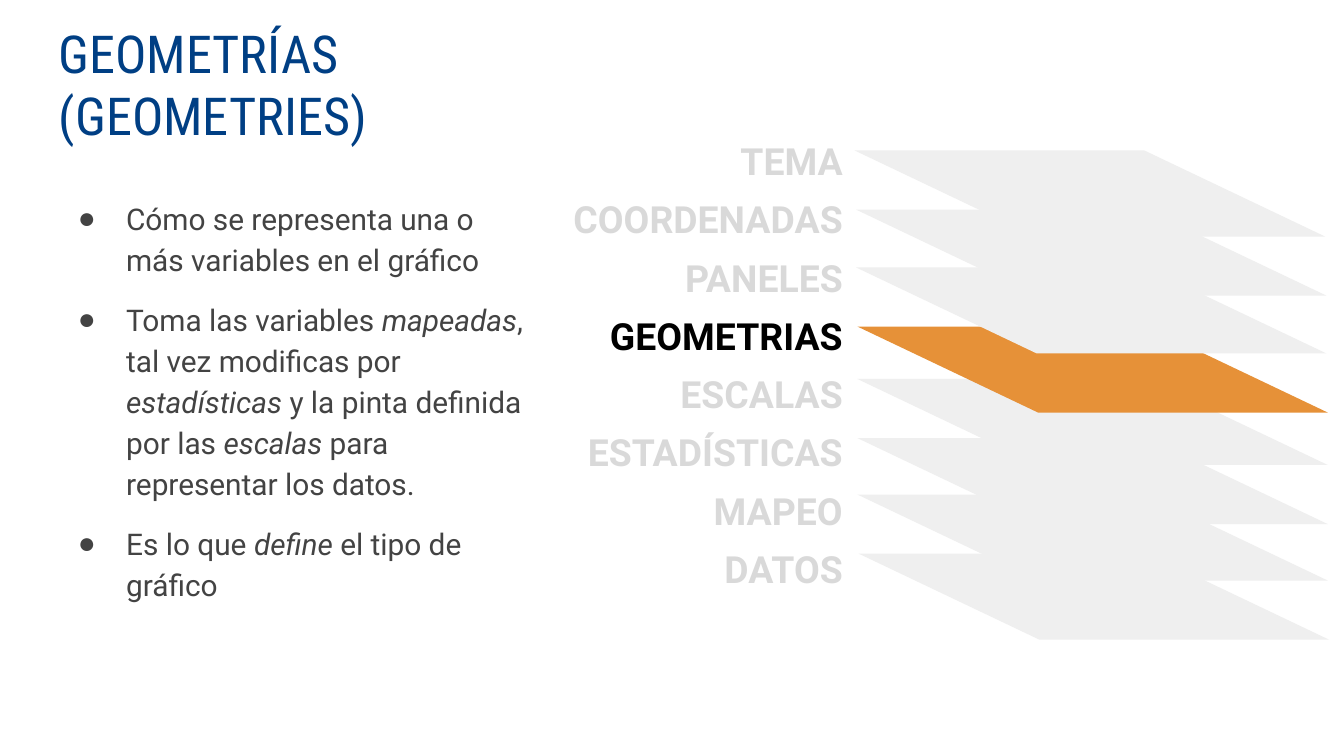
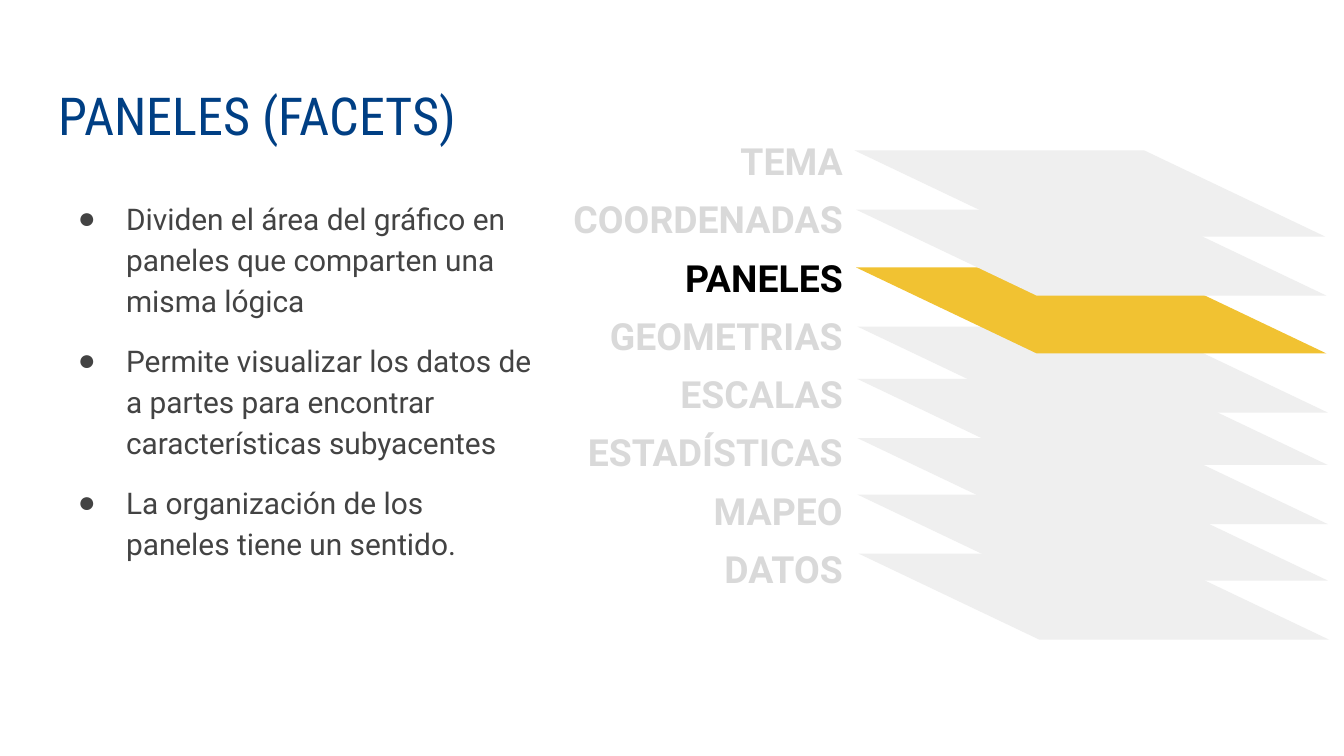
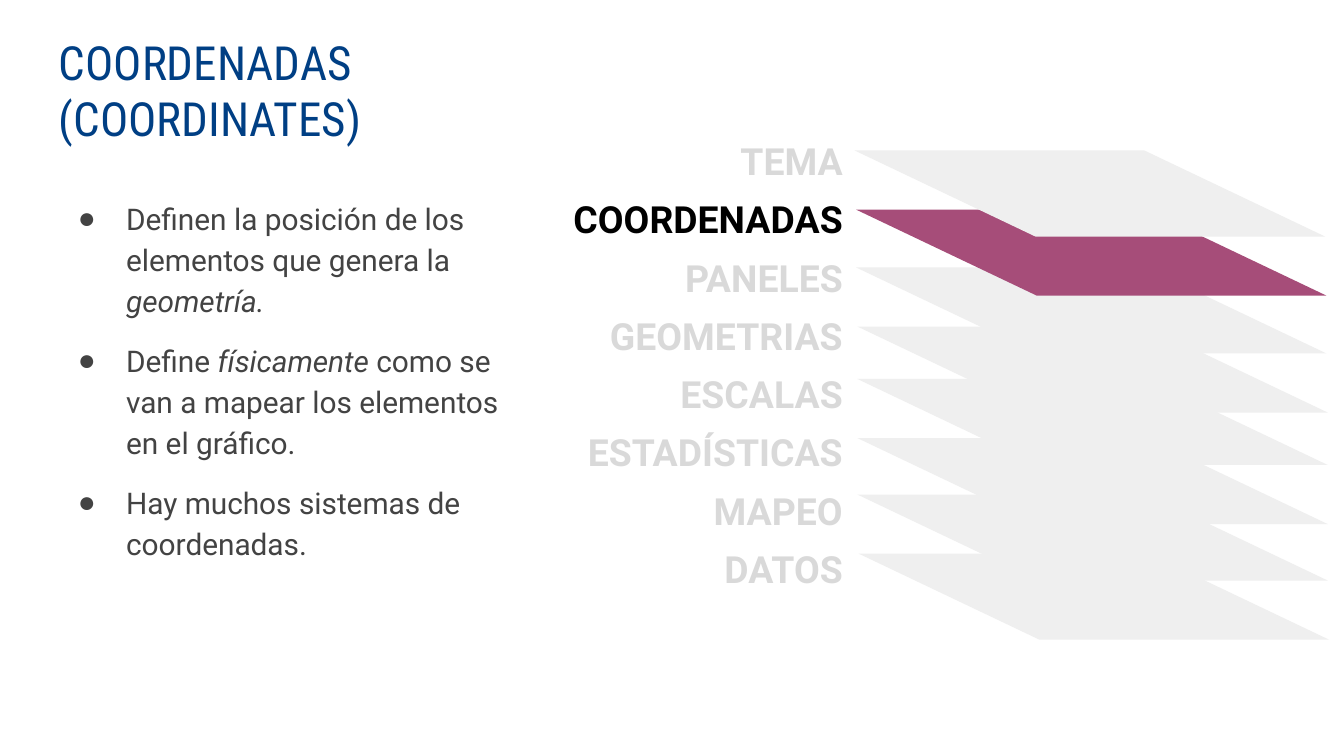
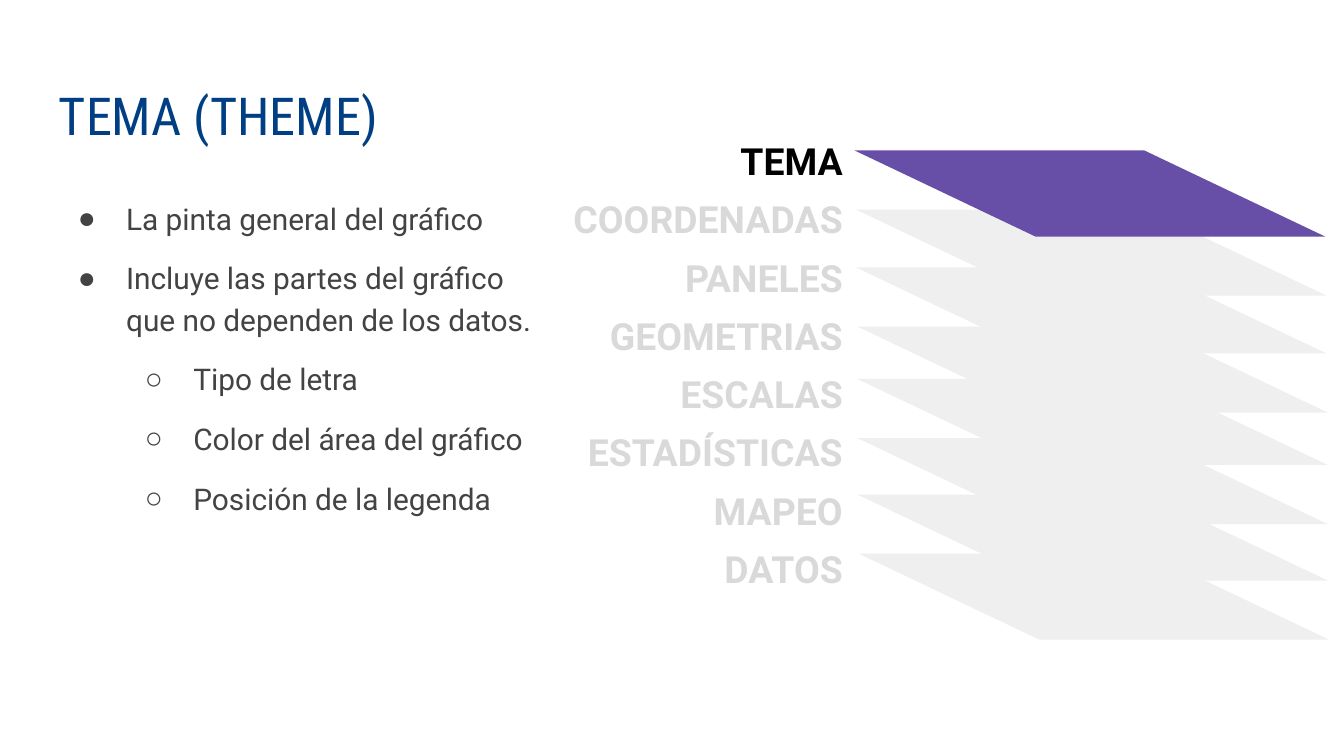
from lxml import etree
from pptx import Presentation
from pptx import util as u
from pptx.dml.color import RGBColor
from pptx.enum import shapes, text
from pptx.oxml.ns import qn

PX = 9144  # 100 px to the inch

BODY_FONT = "Roboto"
TITLE_FONT = "Roboto Condensed"
BULLET_FONT = "Arial"
TITLE_BLUE = "003F84"
BODY_GREY = "434343"
LABEL_GREY = "D9D9D9"
LABEL_ACTIVE = "000000"
LAYER_GREY = "EFEFEF"

# name, left and top of each layer of the stack, from top to bottom
LAYERS = [
    ("TEMA", 636, 112),
    ("COORDENADAS", 637, 156),
    ("PANELES", 637, 199),
    ("GEOMETRIAS", 638, 243),
    ("ESCALAS", 638, 282),
    ("ESTADÍSTICAS", 638, 326),
    ("MAPEO", 638, 368),
    ("DATOS", 639, 412),
]
LAYER_SIZE = (350, 64)
LAYER_SLANT = 2.1

LABELS_BOX = (413, 83, 224, 360)
BODY_BOX = (34, 135, 372, 407)
BULLETS = ["●", "○"]
INDENT = 50
HANGING = 36

# Points are (level, text); asterisks enclose italics.
SLIDES = [
    dict(title="GEOMETRÍAS (GEOMETRIES)", title_width=436, title_size=28,
         active="GEOMETRIAS", accent="E69138",
         points=[
             (0, "Cómo se representa una o más variables en el gráfico"),
             (0, "Toma las variables *mapeadas*, tal vez modificas por "
                 "*estadísticas* y la pinta definida por las *escalas* "
                 "para representar los datos."),
             (0, "Es lo que *define* el tipo de gráfico"),
         ]),
    dict(title="PANELES (FACETS)", title_width=436, title_size=28,
         active="PANELES", accent="F1C232",
         points=[
             (0, "Dividen el área del gráfico en paneles que comparten "
                 "una misma lógica"),
             (0, "Permite visualizar los datos de a partes para encontrar "
                 "características subyacentes"),
             (0, "La organización de los paneles tiene un sentido."),
         ]),
    dict(title="COORDENADAS (COORDINATES)", title_width=466, title_size=25.2,
         active="COORDENADAS", accent="A64D79",
         points=[
             (0, "Definen la posición de los elementos que genera la "
                 "*geometría.*"),
             (0, "Define *físicamente* como se van a mapear los elementos "
                 "en el gráfico."),
             (0, "Hay muchos sistemas de coordenadas."),
         ]),
    dict(title="TEMA (THEME)", title_width=466, title_size=28,
         active="TEMA", accent="674EA7",
         points=[
             (0, "La pinta general del gráfico"),
             (0, "Incluye las partes del gráfico que no dependen de los "
                 "datos."),
             (1, "Tipo de letra"),
             (1, "Color del área del gráfico"),
             (1, "Posición de la legenda"),
         ]),
]


def px(*lengths):
    return [u.Emu(length * PX) for length in lengths]


def rgb(color):
    return RGBColor.from_string(color)


def style_run(run, font, size, color, bold=False, italic=False):
    run.font.name = font
    run.font.size = u.Pt(size)
    run.font.color.rgb = rgb(color)
    run.font.bold = bold
    run.font.italic = italic


def add_frame(slide, box):
    """Add a wrapping text box with equal insets and return its text frame."""
    frame = slide.shapes.add_textbox(*px(*box)).text_frame
    frame.word_wrap = True
    inset, = px(10)
    frame.margin_left = frame.margin_right = inset
    frame.margin_top = frame.margin_bottom = inset
    return frame


def add_layer_stack(slide, active, accent):
    """Stack the layers from the bottom up, with the active one in colour."""
    stack = slide.shapes.add_group_shape()
    for name, left, top in reversed(LAYERS):
        layer = stack.shapes.add_shape(
            shapes.MSO_SHAPE.PARALLELOGRAM, *px(left, top, *LAYER_SIZE))
        layer.adjustments[0] = LAYER_SLANT
        layer.element.spPr.find(qn("a:xfrm")).set("flipH", "1")
        layer.shadow.inherit = False
        layer.fill.solid()
        layer.fill.fore_color.rgb = rgb(accent if name == active else LAYER_GREY)
        layer.line.fill.background()


def add_layer_labels(slide, box, active):
    frame = add_frame(slide, box)
    frame.text = "\n".join(name for name, _, _ in LAYERS)
    for label in frame.paragraphs:
        label.alignment = text.PP_ALIGN.RIGHT
        label.line_spacing = 1.3
        color = LABEL_ACTIVE if label.text == active else LABEL_GREY
        style_run(label.runs[0], BODY_FONT, 20, color, bold=True)


def add_title(slide, box, title, size):
    frame = add_frame(slide, box)
    frame.vertical_anchor = text.MSO_ANCHOR.BOTTOM
    frame.text = title
    style_run(frame.paragraphs[0].runs[0], TITLE_FONT, size, TITLE_BLUE)


def add_bullet(paragraph, level):
    indent, hanging = px(INDENT * (level + 1), HANGING)
    properties = paragraph._p.get_or_add_pPr()
    properties.set("marL", str(indent))
    properties.set("indent", str(-hanging))
    color = etree.SubElement(properties, qn("a:buClr"))
    etree.SubElement(color, qn("a:srgbClr"), val=BODY_GREY)
    etree.SubElement(properties, qn("a:buFont"), typeface=BULLET_FONT)
    etree.SubElement(properties, qn("a:buChar"), char=BULLETS[level])


def add_points(slide, box, points):
    frame = add_frame(slide, box)
    for index, (level, content) in enumerate(points):
        point = frame.add_paragraph() if index else frame.paragraphs[0]
        add_bullet(point, level)
        point.level = level
        point.line_spacing = 1.15
        if index:
            point.space_before = u.Pt(10)
        for part, words in enumerate(content.split("*")):
            if words:
                run = point.add_run()
                run.text = words
                style_run(run, BODY_FONT, 16, BODY_GREY, italic=part % 2 == 1)


def add_layer_slide(deck, title, title_width, title_size, active, accent, points):
    slide = deck.slides.add_slide(deck.slide_layouts[6])
    add_layer_stack(slide, active, accent)
    add_layer_labels(slide, LABELS_BOX, active)
    add_title(slide, (34, 36, title_width, 83), title, title_size)
    add_points(slide, BODY_BOX, points)


def main():
    deck = Presentation()
    deck.slide_width, = px(1000)
    deck.slide_height = deck.slide_width * 9 // 16
    for content in SLIDES:
        add_layer_slide(deck, **content)
    deck.save("out.pptx")


if __name__ == "__main__":
    main()
